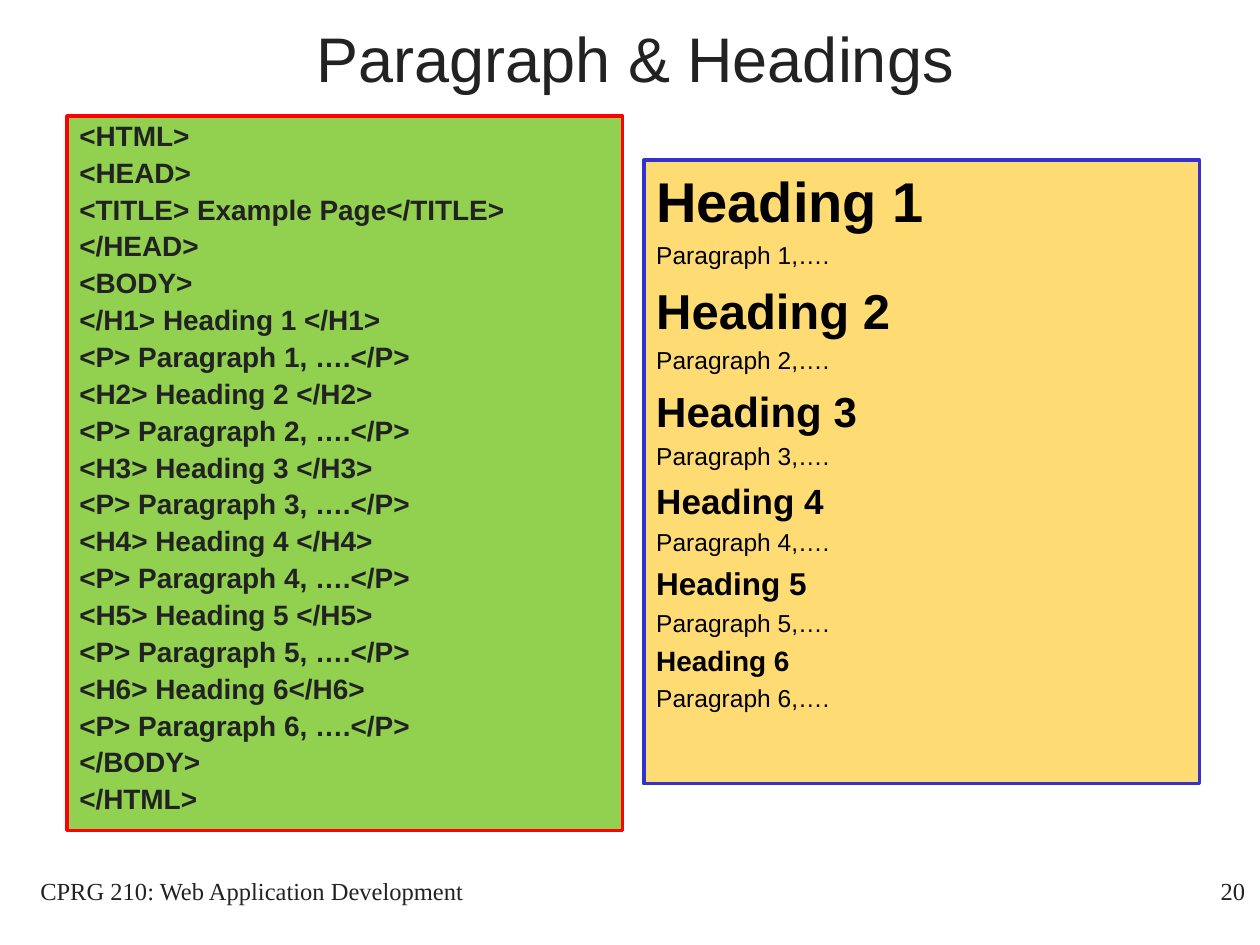
from dataclasses import dataclass
from typing import NamedTuple, Optional

import lxml.etree
import pptx
import pptx.dml.color
import pptx.enum.shapes
import pptx.enum.text
import pptx.oxml.ns
import pptx.util

Cm = pptx.util.Cm
Pt = pptx.util.Pt
RGB = pptx.dml.color.RGBColor.from_string
Align = pptx.enum.text.PP_ALIGN
Anchor = pptx.enum.text.MSO_ANCHOR


@dataclass(frozen=True)
class Theme:
    sans: str = "Arial"
    serif: str = "Times New Roman"
    ink: str = "222222"
    black: str = "000000"
    code_fill: str = "92D050"
    code_border: str = "FF0000"
    result_fill: str = "FFC000"
    result_border: str = "3333CC"
    result_opacity: int = 55
    title_size: int = 36
    code_size: int = 16
    small_size: int = 14
    heading_sizes: tuple = (32, 28, 24, 20, 18, 16)
    border_width: int = 2
    space_before: float = 0.24


THEME = Theme()


class Line(NamedTuple):
    text: str
    size: int
    bold: bool = False
    font: str = THEME.sans
    color: str = THEME.ink


@dataclass(frozen=True)
class Box:
    left: float
    top: float
    width: float
    height: float
    lines: list[Line]
    align: Align = Align.LEFT
    anchor: Anchor = Anchor.TOP
    line_spacing: float = 1.0
    fill: Optional[str] = None
    border: Optional[str] = None
    opacity: int = 100


def apply_format(target, values: dict) -> None:
    for name, value in values.items():
        setattr(target, name, value)


def write_lines(frame, box: Box) -> None:
    apply_format(frame, {"word_wrap": True, "vertical_anchor": box.anchor})
    for index, line in enumerate(box.lines):
        paragraph = frame.add_paragraph() if index else frame.paragraphs[0]
        gap = round(line.size * THEME.space_before, 1) if index else 0
        apply_format(paragraph, {
            "alignment": box.align,
            "line_spacing": box.line_spacing,
            "space_before": Pt(gap),
        })
        run = paragraph.add_run()
        run.text = line.text
        apply_format(run.font, {"name": line.font, "size": Pt(line.size), "bold": line.bold})
        run.font.color.rgb = RGB(line.color)


def set_opacity(panel, percent: int) -> None:
    qn = pptx.oxml.ns.qn
    color = panel.fill._xPr.find(qn("a:solidFill")).find(qn("a:srgbClr"))
    lxml.etree.SubElement(color, qn("a:alpha"), val=str(percent * 1000))


def draw_box(slide, box: Box) -> None:
    area = [Cm(length) for length in (box.left, box.top, box.width, box.height)]
    if box.fill is None:
        write_lines(slide.shapes.add_textbox(*area).text_frame, box)
        return
    panel = slide.shapes.add_shape(pptx.enum.shapes.MSO_SHAPE.RECTANGLE, *area)
    panel.shadow.inherit = False
    panel.fill.solid()
    panel.fill.fore_color.rgb = RGB(box.fill)
    if box.opacity < 100:
        set_opacity(panel, box.opacity)
    panel.line.color.rgb = RGB(box.border)
    panel.line.width = Pt(THEME.border_width)
    write_lines(panel.text_frame, box)


def code_lines() -> list[Line]:
    source = ["<HTML>", "<HEAD>", "<TITLE> Example Page</TITLE>", "</HEAD>", "<BODY>"]
    for level in range(1, 7):
        opening = "</H1>" if level == 1 else f"<H{level}>"
        gap = "" if level == 6 else " "
        source += [
            f"{opening} Heading {level}{gap}</H{level}>",
            f"<P> Paragraph {level}, ….</P>",
        ]
    source += ["</BODY>", "</HTML>"]
    return [Line(text, THEME.code_size, True) for text in source]


def result_lines() -> list[Line]:
    lines = []
    for level, size in enumerate(THEME.heading_sizes, 1):
        lines += [
            Line(f"Heading {level}", size, True, color=THEME.black),
            Line(f"Paragraph {level},….", THEME.small_size, color=THEME.black),
        ]
    return lines


def main() -> None:
    presentation = pptx.Presentation()
    apply_format(presentation, {"slide_width": Cm(25.4), "slide_height": Cm(19.05)})
    slide = presentation.slides.add_slide(presentation.slide_layouts[6])
    title = Line("Paragraph & Headings", THEME.title_size)
    course = Line("CPRG 210: Web Application Development", THEME.small_size, font=THEME.serif)
    page_number = Line("20", THEME.small_size, font=THEME.serif)
    boxes = [
        Box(1.35, 2.34, 11.2, 14.4, code_lines(), line_spacing=0.9,
            fill=THEME.code_fill, border=THEME.code_border),
        Box(12.98, 3.23, 11.2, 12.57, result_lines(), fill=THEME.result_fill,
            border=THEME.result_border, opacity=THEME.result_opacity),
        Box(0.64, -0.43, 24.33, 3.18, [title], Align.CENTER, Anchor.MIDDLE),
        Box(20.07, 17.53, 5.28, 1.27, [page_number], Align.RIGHT),
        Box(0, 17.53, 10.16, 1.27, [course], Align.CENTER),
    ]
    for box in boxes:
        draw_box(slide, box)
    presentation.save("out.pptx")


if __name__ == "__main__":
    main()
